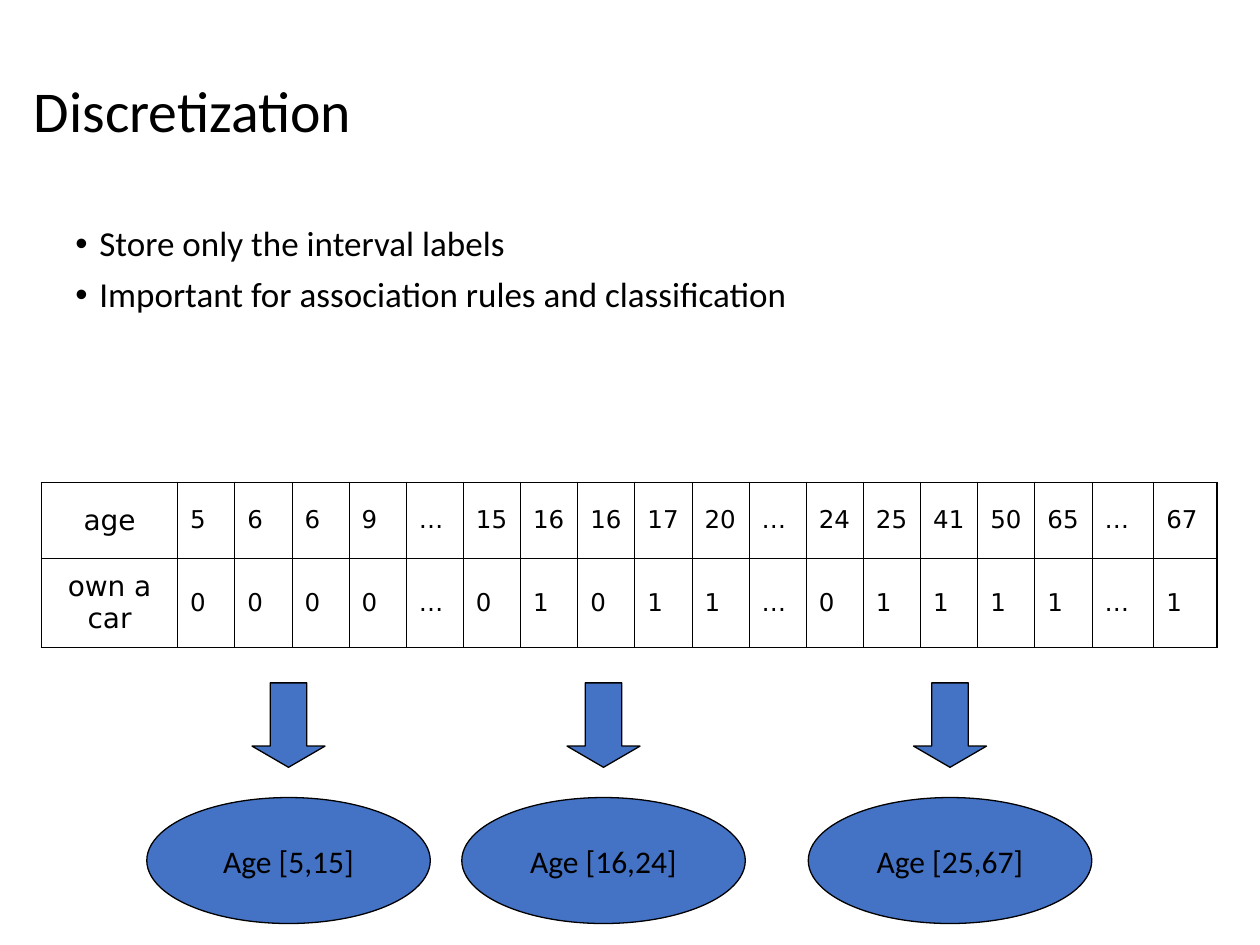
"""Build the discretization slide: bullets, an age table and its intervals."""
from lxml.etree import SubElement
from pptx import Presentation
from pptx.dml.color import RGBColor
from pptx.enum.shapes import MSO_SHAPE as Shape
from pptx.enum.text import MSO_ANCHOR as Anchor, PP_ALIGN as Align
from pptx.oxml import parse_xml
from pptx.oxml.ns import nsdecls, qn
from pptx.util import Inches, Pt

BLACK = "000000"
BLUE = "4472C4"
AGES = "5 6 6 9 … 15 16 16 17 20 … 24 25 41 50 65 … 67".split()
OWNERS = "0 0 0 0 … 0 1 0 1 1 … 0 1 1 1 1 … 1".split()
INTERVALS = [(2.29, "Age [5,15]"), (4.79, "Age [16,24]"), (7.54, "Age [25,67]")]


def colour(value):
    return RGBColor.from_string(value)


def assign(target, values):
    for name, value in values.items():
        setattr(target, name, value)


class SlideBuilder:
    """Holds the style and the current slide."""

    title = {"font": {"name": "Calibri", "size": Pt(33)}, "para": {"line_spacing": 0.9}}
    bullet = {
        "font": {"name": "Calibri", "size": Pt(20)},
        "para": {"line_spacing": 0.9, "space_before": Pt(7.5)},
    }
    header = {
        "font": {"name": "DejaVu Sans", "size": Pt(16)},
        "para": {"alignment": Align.CENTER, "space_before": Pt(4)},
    }
    value = {
        "font": {"name": "DejaVu Sans", "size": Pt(14)},
        "para": {"alignment": Align.LEFT, "space_before": Pt(3.5)},
    }
    label = {
        "font": {"name": "Calibri", "size": Pt(18)},
        "para": {"alignment": Align.CENTER},
    }
    thin, thick = Pt(0.45), Pt(1.08)

    def __init__(self, deck):
        self.page = deck.slides.add_slide(deck.slide_layouts[6])

    def fill_para(self, para, text, style):
        assign(para, style["para"])
        span = para.add_run()
        span.text = text
        assign(span.font, style["font"])
        span.font.color.rgb = colour(BLACK)

    def text(self, place, lines, style, anchor=Anchor.TOP, bulleted=False):
        frame = self.page.shapes.add_textbox(*map(Inches, place)).text_frame
        assign(frame, {"word_wrap": True, "vertical_anchor": anchor})
        for index, line in enumerate(lines):
            para = frame.add_paragraph() if index else frame.paragraphs[0]
            self.fill_para(para, line, style)
            if bulleted:
                self.add_bullet(para)

    def add_bullet(self, para):
        props = para._p.get_or_add_pPr()
        indent = Inches(0.19)
        props.set("marL", str(indent))
        props.set("indent", str(-indent))
        SubElement(props, qn("a:buFont"), typeface="Arial")
        SubElement(props, qn("a:buChar"), char="•")

    def shape(self, kind, place, text=""):
        shape = self.page.shapes.add_shape(kind, *map(Inches, place))
        shape.shadow.inherit = False
        shape.fill.solid()
        shape.fill.fore_color.rgb = colour(BLUE)
        shape.line.color.rgb = colour(BLACK)
        shape.line.width = Pt(0.75)
        if text:
            frame = shape.text_frame
            assign(frame, {"word_wrap": False, "vertical_anchor": Anchor.MIDDLE})
            self.fill_para(frame.paragraphs[0], text, self.label)
        return shape

    def border(self, cell, edges):
        props = cell._tc.get_or_add_tcPr()
        for index, (side, outer) in enumerate(edges.items()):
            width = self.thick if outer else self.thin
            props.insert(index, parse_xml(
                f'<a:ln{side} {nsdecls("a")} w="{width}"><a:solidFill>'
                f'<a:srgbClr val="{BLACK}"/></a:solidFill></a:ln{side}>'))

    def table(self, place, rows, widths, heights):
        last_row, last_column = len(heights) - 1, len(widths) - 1
        table = self.page.shapes.add_table(
            len(heights), len(widths), *map(Inches, place)).table
        assign(table, {"first_row": False, "horz_banding": False})
        for column, width in zip(table.columns, widths):
            column.width = Inches(width)
        for row, height in zip(table.rows, heights):
            row.height = Inches(height)
        for r, texts in enumerate(rows):
            for c, text in enumerate(texts):
                cell = table.cell(r, c)
                cell.vertical_anchor = Anchor.MIDDLE
                cell.fill.background()
                self.border(cell, {"L": c == 0, "R": c == last_column,
                                   "T": r == 0, "B": r == last_row})
                style = self.value if c else self.header
                self.fill_para(cell.text_frame.paragraphs[0], text, style)


def main():
    deck = Presentation()
    assign(deck, {"slide_width": Inches(10), "slide_height": Inches(7.5)})
    slide = SlideBuilder(deck)
    slide.text((0.17, 0.33, 9.67, 1.14), ["Discretization"], slide.title, Anchor.MIDDLE)
    slide.text(
        (0.5, 1.75, 8.08, 1.83),
        ["Store only the interval labels",
         "Important for association rules and classification"],
        slide.bullet, bulleted=True)

    total, first, final = 9.33, 1.08, [0.49, 0.5]
    inner = len(AGES) - len(final)
    widths = [first] + [(total - first - sum(final)) / inner] * inner + final
    slide.table((0.33, 3.83, total, 1.31),
                [["age", *AGES], ["own a car", *OWNERS]], widths, [0.6, 0.71])

    arrow_width, oval_width = 0.58, 2.25
    for center, _ in INTERVALS:
        arrow = slide.shape(
            Shape.DOWN_ARROW, (center - arrow_width / 2, 5.42, arrow_width, 0.67))
        arrow.adjustments[1] = 0.29
    for center, label in INTERVALS:
        slide.shape(Shape.OVAL, (center - oval_width / 2, 6.33, oval_width, 1), label)
    deck.save("out.pptx")


if __name__ == "__main__":
    main()
